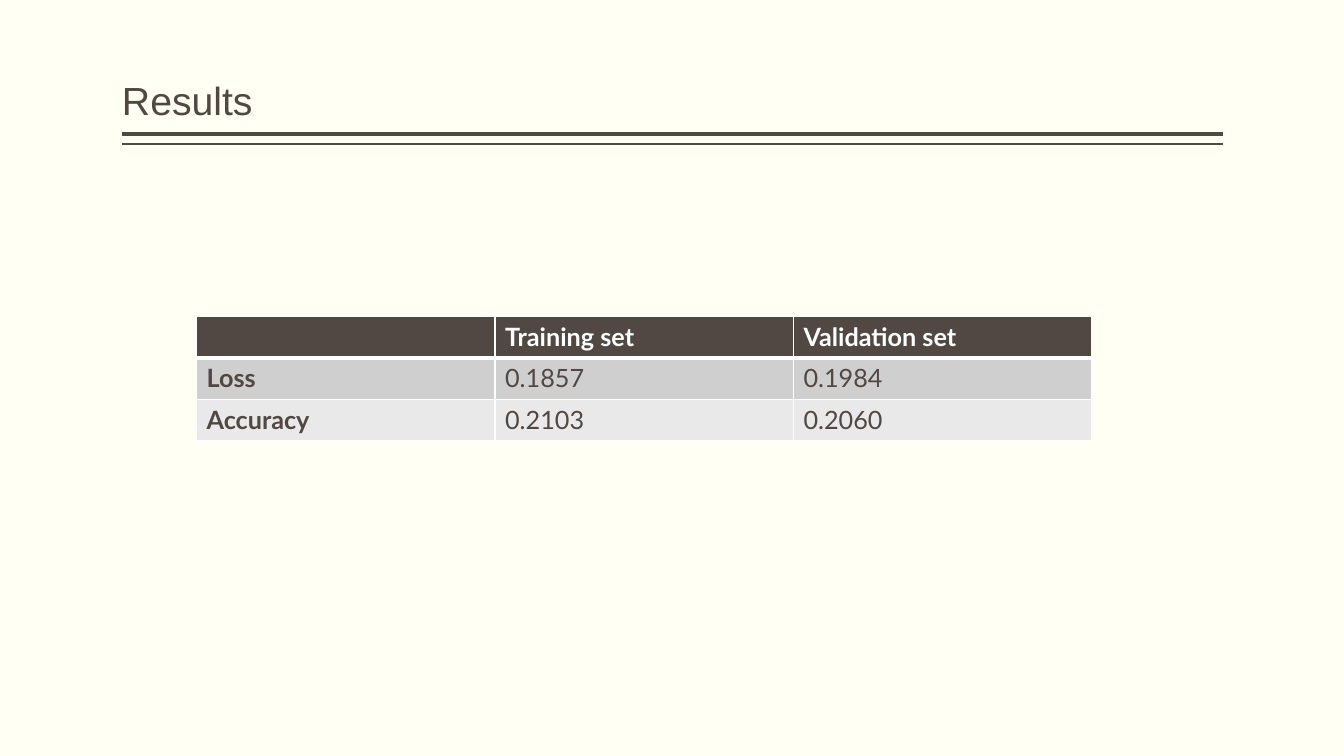
"""Build a results slide with a ruled title and a table of scores."""
from dataclasses import dataclass

from lxml import etree
from pptx import Presentation
from pptx.dml.color import RGBColor
from pptx.enum import shapes, text
from pptx.oxml import ns
from pptx.slide import Slide
from pptx.table import _Cell as Cell
from pptx.util import Inches, Pt

CREAM = RGBColor(0xFF, 0xFF, 0xF3)
BROWN = RGBColor(0x51, 0x48, 0x43)
WHITE = RGBColor(0xFF, 0xFF, 0xFF)
GREY = RGBColor(0xD0, 0xCF, 0xCF)
PALE = RGBColor(0xE9, 0xE9, 0xE9)
LEFT, RIGHT = 1.21, 12.13


@dataclass
class Rule:
    top: float
    width: float


@dataclass
class Row:
    texts: tuple[str, str, str]
    fill: RGBColor
    color: RGBColor
    head: bool = False


RULES = [Rule(1.33, 3), Rule(1.43, 1)]
ROWS = [
    Row(("", "Training set", "Validation set"), BROWN, WHITE, True),
    Row(("Loss", "0.1857", "0.1984"), GREY, BROWN),
    Row(("Accuracy", "0.2103", "0.2060"), PALE, BROWN),
]


def draw_rule(slide: Slide, rule: Rule) -> None:
    line = slide.shapes.add_connector(
        shapes.MSO_CONNECTOR.STRAIGHT,
        Inches(RIGHT), Inches(rule.top), Inches(LEFT), Inches(rule.top))
    line.line.color.rgb = BROWN
    line.line.width = Pt(rule.width)
    etree.SubElement(line._element.spPr, ns.qn("a:effectLst"))


def draw_title(slide: Slide, title: str) -> None:
    box = slide.shapes.add_textbox(
        Inches(LEFT), Inches(0.08), Inches(RIGHT - LEFT), Inches(1.2))
    frame = box.text_frame
    frame.word_wrap = True
    frame.vertical_anchor = text.MSO_ANCHOR.BOTTOM
    frame.margin_left = frame.margin_right = 0
    para = frame.paragraphs[0]
    para.text = title
    para.line_spacing = 0.9
    para.font.name = "Arial"
    para.font.size = Pt(28)
    para.font.color.rgb = BROWN


def add_edge(cell: Cell, side: str, width: float) -> None:
    props = cell._tc.get_or_add_tcPr()
    edge = etree.SubElement(props, ns.qn(f"a:ln{side}"), w=str(Pt(width)))
    fill = etree.SubElement(edge, ns.qn("a:solidFill"))
    etree.SubElement(fill, ns.qn("a:srgbClr"), val=str(WHITE))


def fill_cell(cell: Cell, label: str, row: Row, bold: bool, top: float) -> None:
    for side, width in zip("LRTB", (1, 1, top, 3 if row.head else 1)):
        add_edge(cell, side, width)
    cell.fill.solid()
    cell.fill.fore_color.rgb = row.fill
    para = cell.text_frame.paragraphs[0]
    para.text = label
    para.font.name = "Lato"
    para.font.size = Pt(18)
    para.font.bold = bold
    para.font.color.rgb = row.color


def draw_table(slide: Slide, rows: list[Row]) -> None:
    count = len(rows[0].texts)
    wide, high = 2.96, 0.41
    table = slide.shapes.add_table(
        len(rows), count, Inches(1.95), Inches(3.14),
        Inches(wide * count), Inches(high * len(rows))).table
    for col in table.columns:
        col.width = Inches(wide)
    for i, row in enumerate(rows):
        table.rows[i].height = Inches(high)
        top = 3 if i and rows[i - 1].head else 1
        for j, label in enumerate(row.texts):
            fill_cell(table.cell(i, j), label, row, row.head or j == 0, top)


def main() -> None:
    deck = Presentation()
    deck.slide_width, deck.slide_height = Inches(13.33), Inches(7.5)
    slide = deck.slides.add_slide(deck.slide_layouts[6])
    slide.background.fill.solid()
    slide.background.fill.fore_color.rgb = CREAM
    for rule in RULES:
        draw_rule(slide, rule)
    draw_title(slide, "Results")
    draw_table(slide, ROWS)
    deck.save("out.pptx")


if __name__ == "__main__":
    main()
